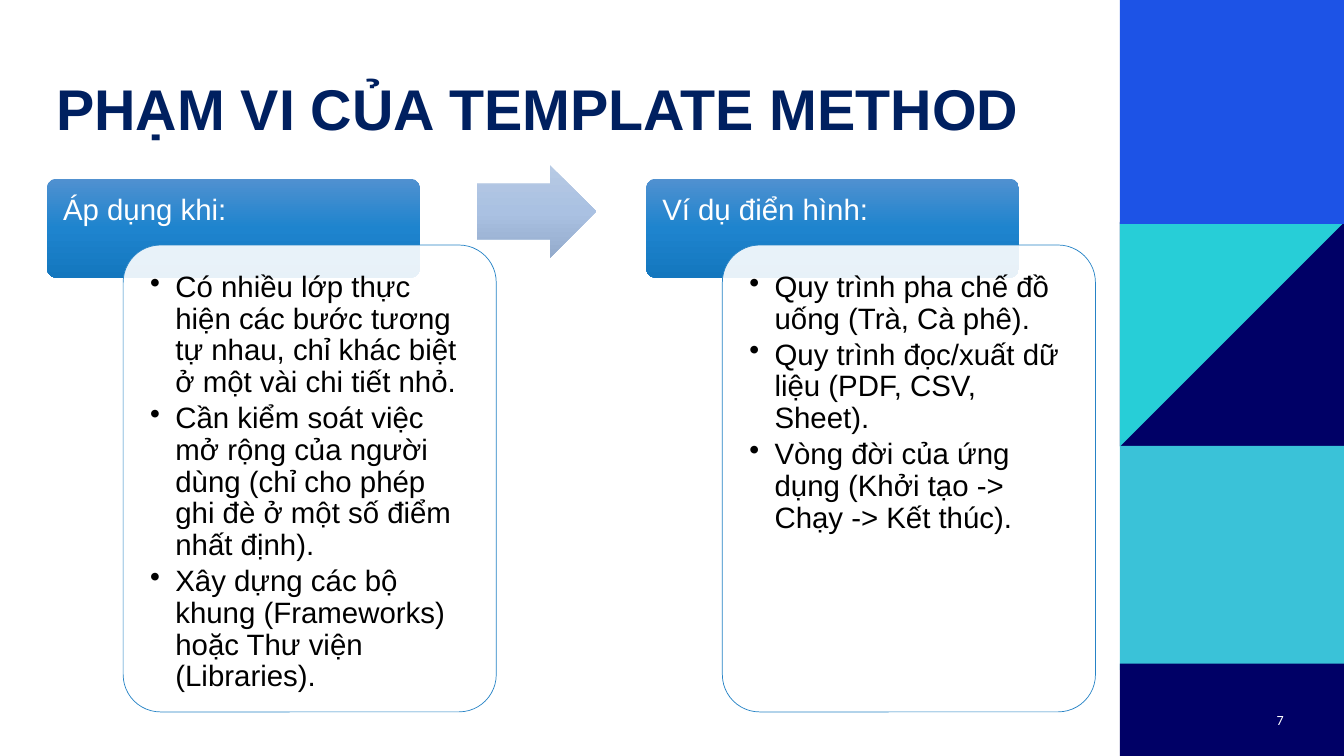
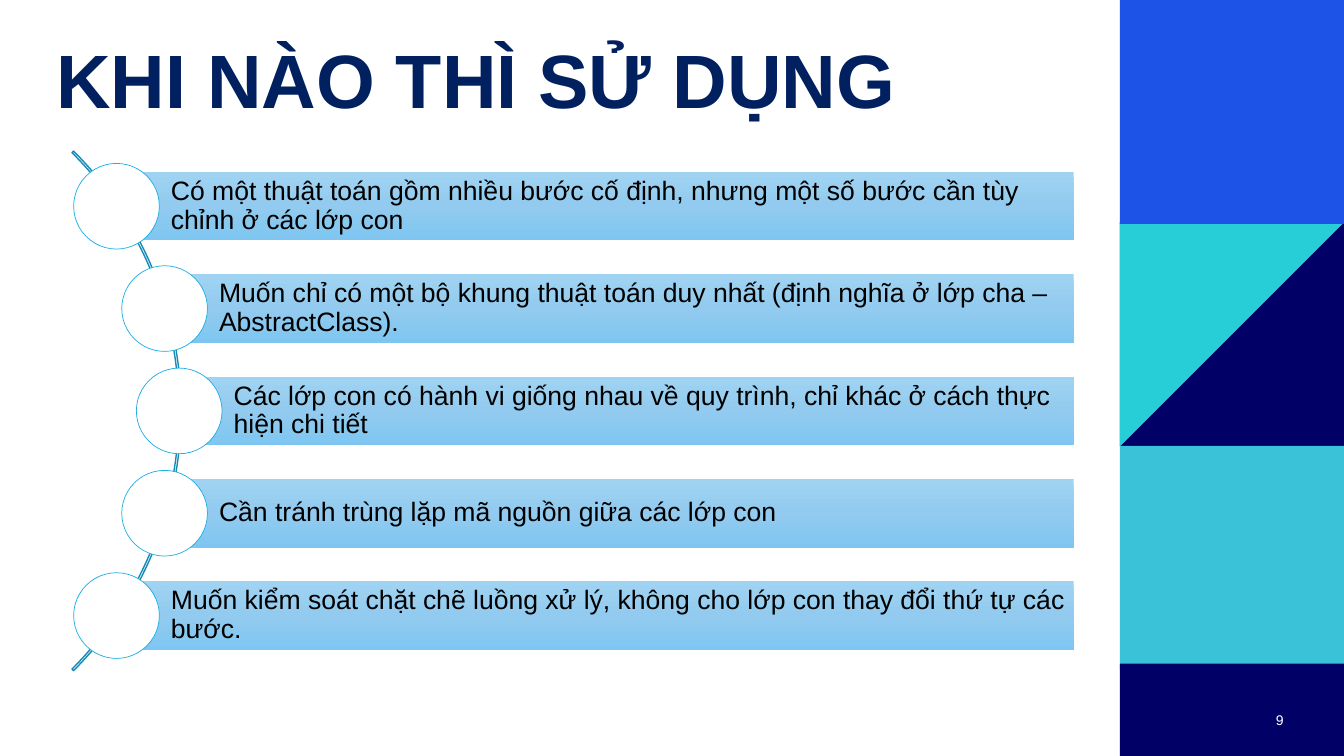
from math import sqrt

from lxml.etree import SubElement
from pptx import Presentation
from pptx.dml.color import RGBColor
from pptx.enum.shapes import MSO_SHAPE
from pptx.enum.text import MSO_ANCHOR, PP_ALIGN
from pptx.oxml.ns import qn
from pptx.util import Pt

# Shared style
NAVY, BLUE, TURQUOISE, CYAN = "000066", "1D53E6", "27CED7", "3AC2D8"
TITLE, WHITE, BLACK = "002060", "FFFFFF", "000000"
HEADER_SHADES = ("5191D0", "1E84CE", "1477BE")
ARROW_SHADES = ("B7CAE4", "AAC1E2", "94ABCC")
BAR_SHADES = ("A0D3F2", "92CBEF", "7EC6F1")
SIDE_LEFT, SIDE_WIDTH = 800, 160


def color(value):
    return RGBColor.from_string(value)


def write(shape, texts, size, ink=BLACK, font="Arial", bold=False, spacing=None,
          after=0, align=PP_ALIGN.LEFT, anchor=MSO_ANCHOR.TOP, bullet=False,
          insets=(7.2, 3.6, 7.2, 3.6)):
    """Fill a shape with one paragraph per text; insets run left, top, right, bottom."""
    frame = shape.text_frame
    frame.word_wrap = True
    frame.vertical_anchor = anchor
    (frame.margin_left, frame.margin_top,
     frame.margin_right, frame.margin_bottom) = map(Pt, insets)
    for index, text in enumerate(texts):
        para = frame.add_paragraph() if index else frame.paragraphs[0]
        if bullet:
            properties = para._p.get_or_add_pPr()
            properties.set("marL", str(Pt(18)))
            properties.set("indent", str(Pt(-18)))
            SubElement(properties, qn("a:buChar"), char="•")
        para.alignment = align
        para.space_after = Pt(after)
        if spacing:
            para.line_spacing = spacing
        span = para.add_run()
        span.text = text
        span.font.name = font
        span.font.size = Pt(size)
        span.font.bold = bold
        span.font.color.rgb = color(ink)


class SlideBuilder:
    def __init__(self):
        self.deck = Presentation()
        self.deck.slide_width, self.deck.slide_height = Pt(960), Pt(540)
        self.page = None

    def new_page(self, title, top, height, size, number, number_font):
        self.page = self.deck.slides.add_slide(self.deck.slide_layouts[6])
        self.sidebar()
        self.text((33, top, 750, height), title, size=size, ink=TITLE,
                  bold=True, spacing=0.9)
        self.text((888, 500, 36, 29), number, size=10, ink=WHITE,
                  font=number_font, align=PP_ALIGN.RIGHT, anchor=MSO_ANCHOR.MIDDLE)

    def text(self, area, text, **style):
        box = self.page.shapes.add_textbox(*map(Pt, area))
        write(box, [text], **style)

    def shape(self, kind, area, fill=None, shades=None, opacity=None,
              line=None, line_width=0.5, adjust=()):
        shape = self.page.shapes.add_shape(kind, *map(Pt, area))
        for index, value in enumerate(adjust):
            shape.adjustments[index] = value
        return self.paint(shape, fill, shades, opacity, line, line_width)

    def paint(self, shape, fill=None, shades=None, opacity=None, line=None,
              line_width=0.5):
        shape.shadow.inherit = False
        if shades:
            self.gradient(shape, shades)
        elif fill:
            shape.fill.solid()
            shape.fill.fore_color.rgb = color(fill)
            if opacity:
                solid = shape._element.spPr.find(qn("a:solidFill"))
                SubElement(solid[0], qn("a:alpha"), val=str(opacity * 1000))
        else:
            shape.fill.background()
        if line:
            shape.line.color.rgb = color(line)
            shape.line.width = Pt(line_width)
        else:
            shape.line.fill.background()
        return shape

    def gradient(self, shape, shades):
        """Run the shades from top to bottom at equal steps."""
        shape.fill.gradient()
        shape.fill.gradient_angle = 270
        stops = shape._element.spPr.find(qn("a:gradFill")).find(qn("a:gsLst"))
        for stop in list(stops):
            stops.remove(stop)
        for index, shade in enumerate(shades):
            position = 100000 * index // (len(shades) - 1)
            stop = SubElement(stops, qn("a:gs"), pos=str(position))
            SubElement(stop, qn("a:srgbClr"), val=shade)

    def sidebar(self):
        def block(top, height, fill):
            self.shape(MSO_SHAPE.RECTANGLE, (SIDE_LEFT, top, SIDE_WIDTH, height), fill)

        block(158.5, 160, NAVY)
        right, top = SIDE_LEFT + SIDE_WIDTH, 159
        outline = self.page.shapes.build_freeform(Pt(right), Pt(top), scale=1.0)
        outline.add_line_segments([(Pt(SIDE_LEFT), Pt(top + SIDE_WIDTH)),
                                   (Pt(SIDE_LEFT), Pt(top))], close=True)
        self.paint(outline.convert_to_shape(), TURQUOISE)
        block(0, 160, BLUE)
        block(318.5, 160, CYAN)
        block(474, 66, NAVY)

    def topic(self, left, heading, points):
        """A heading tab with a bullet card overlapping its lower corner."""
        tab = self.shape(MSO_SHAPE.ROUNDED_RECTANGLE, (left, 127.5, 266.5, 71),
                         shades=HEADER_SHADES, adjust=[0.1])
        write(tab, [heading], size=21, ink=WHITE, spacing=0.9,
              insets=(9.5, 9.5, 9.5, 6.5))
        card = self.shape(MSO_SHAPE.ROUNDED_RECTANGLE, (left + 54.5, 175, 266.5, 333.5),
                          WHITE, opacity=90, line="2683C6", adjust=[0.1])
        write(card, points, size=21, spacing=0.9, after=3, bullet=True,
              insets=(11.5,) * 4)

    def arc_list(self, items):
        """Bars whose round markers sit along a thin arc."""
        center_x, center_y, radius, marker_radius = -133, 293.5, 261, 30.6
        pitch, bar_height, bar_right = 73.1, 49, 767
        outer = 262.4
        self.shape(MSO_SHAPE.BLOCK_ARC,
                   (center_x - outer, center_y - outer, 2 * outer, 2 * outer),
                   line="168BB7", line_width=1, adjust=[189, 27, 0.003])
        for index, item in enumerate(items):
            offset = (index - (len(items) - 1) / 2) * pitch
            x, y = center_x + sqrt(radius ** 2 - offset ** 2), center_y + offset
            bar = self.shape(MSO_SHAPE.RECTANGLE,
                             (x, y - bar_height / 2, bar_right - x, bar_height),
                             shades=BAR_SHADES)
            write(bar, [item], size=19, spacing=0.9, anchor=MSO_ANCHOR.MIDDLE,
                  insets=(38.9, 3.6, 3.6, 3.6))
            self.shape(MSO_SHAPE.OVAL,
                       (x - marker_radius, y - marker_radius,
                        2 * marker_radius, 2 * marker_radius), WHITE, line="1CADE4")


def main():
    builder = SlideBuilder()

    # Scope of the pattern
    builder.new_page("PHẠM VI CỦA TEMPLATE METHOD", 54.5, 66, 41, "7", "Calibri")
    builder.topic(33.5, "Áp dụng khi:", [
        "Có nhiều lớp thực hiện các bước tương tự nhau, chỉ khác biệt ở một vài chi tiết nhỏ.",
        "Cần kiểm soát việc mở rộng của người dùng (chỉ cho phép ghi đè ở một số điểm nhất định).",
        "Xây dựng các bộ khung (Frameworks) hoặc Thư viện (Libraries).",
    ])
    builder.shape(MSO_SHAPE.RIGHT_ARROW, (340.5, 118, 85.5, 66),
                  shades=ARROW_SHADES, adjust=[0.6, 0.5])
    builder.topic(461.5, "Ví dụ điển hình:", [
        "Quy trình pha chế đồ uống (Trà, Cà phê).",
        "Quy trình đọc/xuất dữ liệu (PDF, CSV, Sheet).",
        "Vòng đời của ứng dụng (Khởi tạo -> Chạy -> Kết thúc).",
    ])

    # When to use it
    builder.new_page("KHI NÀO THÌ SỬ DỤNG", 27.5, 83, 54, "9", "Arial")
    builder.arc_list([
        "Có một thuật toán gồm nhiều bước cố định, nhưng một số bước cần tùy chỉnh ở các lớp con",
        "Muốn chỉ có một bộ khung thuật toán duy nhất (định nghĩa ở lớp cha – AbstractClass).",
        "Các lớp con có hành vi giống nhau về quy trình, chỉ khác ở cách thực hiện chi tiết",
        "Cần tránh trùng lặp mã nguồn giữa các lớp con",
        "Muốn kiểm soát chặt chẽ luồng xử lý, không cho lớp con thay đổi thứ tự các bước.",
    ])

    builder.deck.save("out.pptx")


if __name__ == "__main__":
    main()
